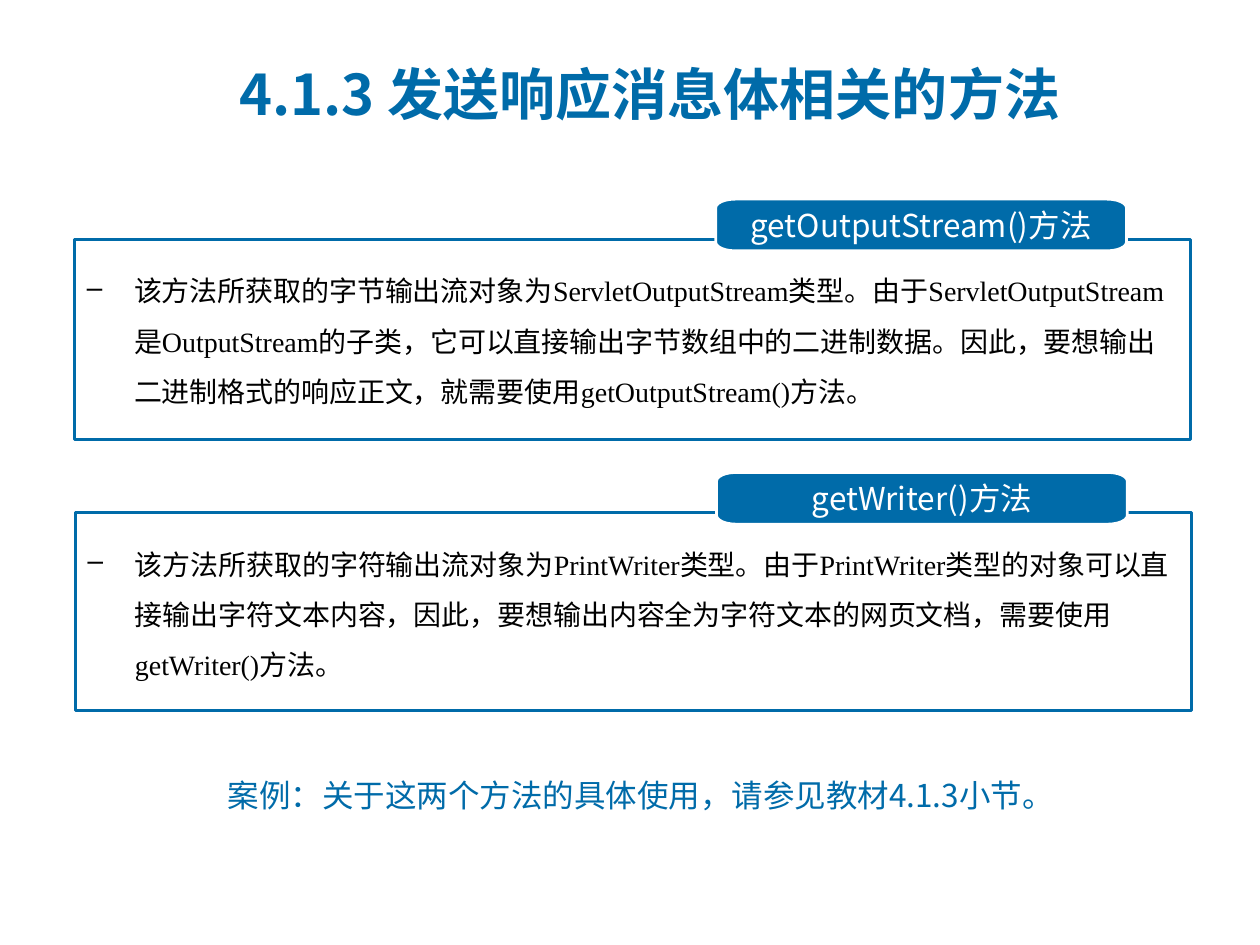
import math
from dataclasses import dataclass

from lxml import etree
from pptx import Presentation
from pptx.dml.color import RGBColor
from pptx.enum import shapes, text
from pptx.oxml.ns import qn
from pptx.util import Pt


@dataclass(frozen=True)
class Theme:
    blue: RGBColor = RGBColor(0x00, 0x6B, 0xA9)
    white: RGBColor = RGBColor(0xFF, 0xFF, 0xFF)
    black: RGBColor = RGBColor(0, 0, 0)
    sans: str = "Noto Sans CJK SC"
    serif: str = "Times New Roman"
    title_size: int = 32
    label_size: int = 18
    body_size: int = 16
    line_width: float = 1.5


def apply(target, values):
    for name, value in values.items():
        setattr(target, name, value)


def rounded_outline(left, top, width, height, rx, ry):
    """Points, in order, around a rectangle with elliptical corners."""
    points = []
    for quarter, (sx, sy) in enumerate([(1, 1), (-1, 1), (-1, -1), (1, -1)]):
        centre_x = left + width / 2 + sx * (width / 2 - rx)
        centre_y = top + height / 2 + sy * (height / 2 - ry)
        for step in range(7):
            angle = math.radians(90 * quarter + 15 * step)
            points.append((Pt(centre_x + rx * math.cos(angle)),
                           Pt(centre_y + ry * math.sin(angle))))
    return points


class SlideBuilder:
    def __init__(self, slide, theme):
        self.slide = slide
        self.theme = theme

    def fill_text(self, frame, wording, size, color, font, bold=False, hanging=0,
                  **paragraph_format):
        frame.word_wrap = True
        frame.auto_size = text.MSO_AUTO_SIZE.NONE
        paragraph = frame.paragraphs[0]
        apply(paragraph, paragraph_format)
        properties = paragraph._p.get_or_add_pPr()
        properties.set("marL", str(Pt(hanging)))
        properties.set("indent", str(-Pt(hanging)))
        run = paragraph.add_run()
        run.text = wording
        apply(run.font, {"size": Pt(size), "bold": bold, "name": font})
        run.font.color.rgb = color
        east_asian = etree.Element(qn("a:ea"), typeface=self.theme.sans)
        run.font._rPr.find(qn("a:latin")).addnext(east_asian)
        return paragraph

    def place(self, shape, left, top, width, height):
        apply(shape, {"left": Pt(left), "top": Pt(top),
                      "width": Pt(width), "height": Pt(height)})

    def outline(self, shape, color):
        shape.shadow.inherit = False
        shape.line.color.rgb = color
        shape.line.width = Pt(self.theme.line_width)

    def title(self, wording, *box):
        heading = self.slide.shapes.title
        self.place(heading, *box)
        heading.text_frame.vertical_anchor = text.MSO_ANCHOR.MIDDLE
        self.fill_text(heading.text_frame, wording, self.theme.title_size, self.theme.blue,
                       self.theme.sans, bold=True, hanging=44.6,
                       alignment=text.PP_ALIGN.LEFT)

    def note(self, wording, *box):
        note = self.slide.shapes.add_textbox(*map(Pt, box))
        self.fill_text(note.text_frame, wording, self.theme.label_size, self.theme.blue,
                       self.theme.sans, hanging=27)

    def explanation(self, wording, *box):
        body = self.slide.shapes.add_textbox(*map(Pt, box))
        paragraph = self.fill_text(body.text_frame, wording, self.theme.body_size,
                                   self.theme.black, self.theme.serif, hanging=27,
                                   line_spacing=1.5, space_before=Pt(3.2))
        etree.SubElement(paragraph._p.pPr, qn("a:buChar"), char="–")

    def border(self, *box):
        border = self.slide.shapes.add_shape(shapes.MSO_SHAPE.RECTANGLE, *map(Pt, box))
        border.fill.background()
        self.outline(border, self.theme.blue)

    def label(self, wording, *box):
        start, *rest = rounded_outline(*box, rx=11.2, ry=5)
        builder = self.slide.shapes.build_freeform(*start)
        builder.add_line_segments(rest, close=True)
        label = builder.convert_to_shape()
        label.fill.solid()
        label.fill.fore_color.rgb = self.theme.blue
        self.outline(label, self.theme.white)
        apply(label.text_frame, {
            "margin_left": Pt(17.3), "margin_right": Pt(17.3),
            "margin_top": Pt(4.3), "margin_bottom": Pt(4.3),
            "vertical_anchor": text.MSO_ANCHOR.MIDDLE})
        self.fill_text(label.text_frame, wording, self.theme.label_size, self.theme.white,
                       self.theme.sans, alignment=text.PP_ALIGN.CENTER)

    def method_panel(self, method, wording, left, top, height):
        """A bordered explanation with the method's label across its top edge."""
        width = 638
        self.explanation(wording, left, top + 6.5, width, height - 6.5)
        self.border(left, top, width, height)
        self.label(method, left + 366.5, top - 23, 234.7, 29.5)


def main():
    deck = Presentation()
    apply(deck, {"slide_width": Pt(720), "slide_height": Pt(540)})
    title_only = deck.slide_layouts[5]
    page = SlideBuilder(deck.slides.add_slide(title_only), Theme())

    page.method_panel(
        "getOutputStream()方法",
        "该方法所获取的字节输出流对象为ServletOutputStream类型。由于ServletOutputStream是"
        "OutputStream的子类，它可以直接输出字节数组中的二进制数据。因此，要想输出二进制格式的"
        "响应正文，就需要使用getOutputStream()方法。",
        left=42.5, top=136.8, height=114.5)
    page.method_panel(
        "getWriter()方法",
        "该方法所获取的字符输出流对象为PrintWriter类型。由于PrintWriter类型的对象可以直接输出"
        "字符文本内容，因此，要想输出内容全为字符文本的网页文档，需要使用getWriter()方法。",
        left=43, top=293, height=113)
    page.note("案例：关于这两个方法的具体使用，请参见教材4.1.3小节。", 123, 440, 628, 54)
    page.title("4.1.3 发送响应消息体相关的方法", 129.6, 31, 502.6, 44)
    deck.save("out.pptx")


if __name__ == "__main__":
    main()
